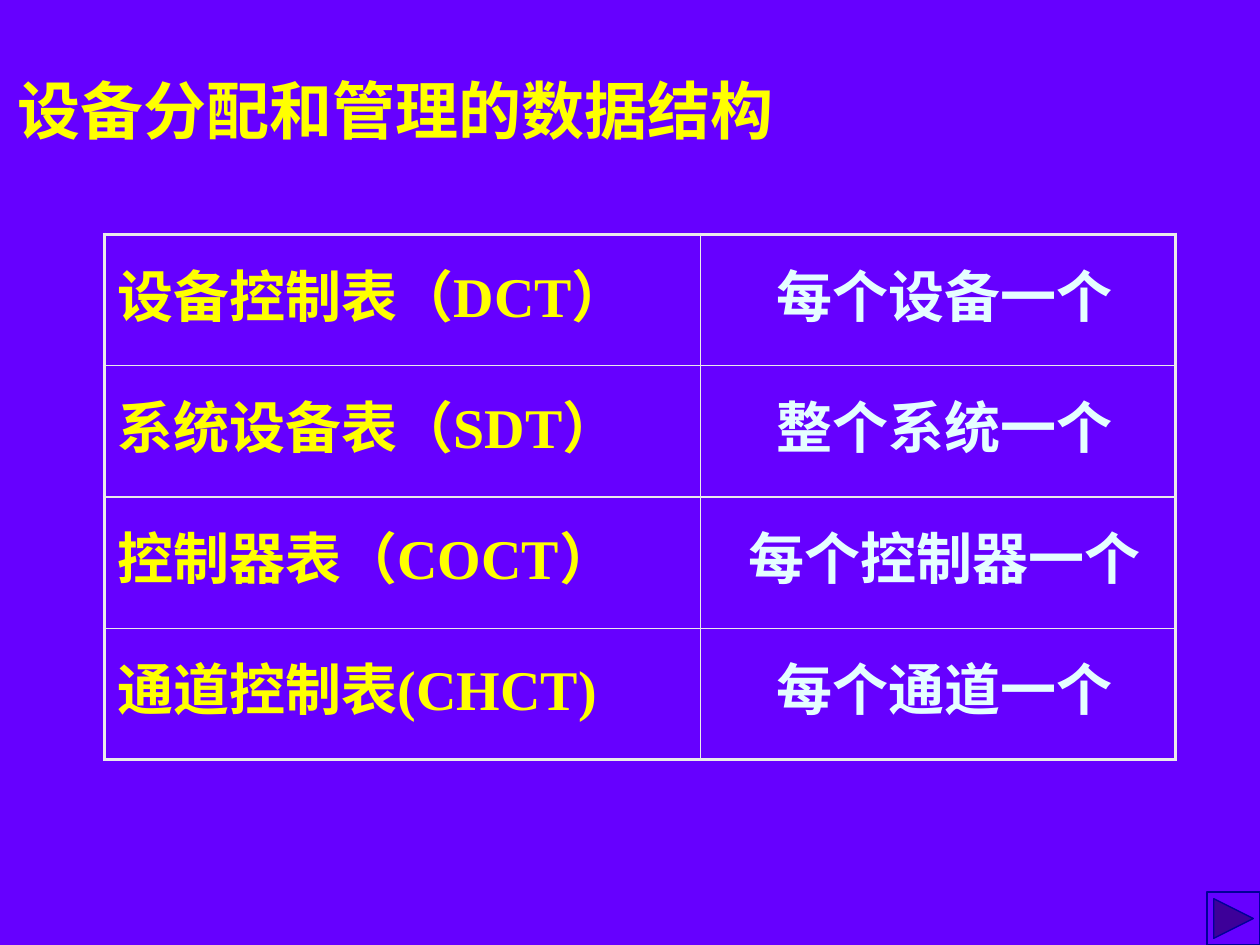
from pptx import Presentation
from pptx.dml.color import RGBColor
from pptx.enum import shapes, text
from pptx.oxml import parse_xml
from pptx.oxml.ns import nsdecls
from pptx.util import Inches, Pt

HUES = {
    "back": "6600FF",
    "gold": "FFFF00",
    "pale": "E5FEFF",
    "rule": "EAEAEA",
    "navy": "000099",
}
FACE = "Times New Roman"
ROWS = [
    ("设备控制表（DCT）", "每个设备一个"),
    ("系统设备表（SDT）", "整个系统一个"),
    ("控制器表（COCT）", "每个控制器一个"),
    ("通道控制表(CHCT)", "每个通道一个"),
]
WIDTHS = (4.73, 3.77)


def hue(name):
    return RGBColor.from_string(HUES[name])


def style(para, size, color, align):
    para.alignment = align
    font = para.font
    font.name, font.size, font.bold = FACE, Pt(size), True
    font.color.rgb = hue(color)


def border(cell, side, width):
    """Add one cell border; call in the order L, R, T, B."""
    line = parse_xml(
        f'<a:ln{side} {nsdecls("a")} w="{Pt(width)}"><a:solidFill>'
        f'<a:srgbClr val="{HUES["rule"]}"/></a:solidFill></a:ln{side}>'
    )
    cell._tc.get_or_add_tcPr().append(line)


def add_title(slide, box):
    title = slide.shapes.title
    title.left, title.top, title.width, title.height = map(Inches, box)
    frame = title.text_frame
    frame.text = "设备分配和管理的数据结构"
    frame.auto_size = text.MSO_AUTO_SIZE.NONE
    frame.vertical_anchor = text.MSO_ANCHOR.TOP
    style(frame.paragraphs[0], 36, "gold", text.PP_ALIGN.LEFT)


def add_grid(slide, box):
    grid = slide.shapes.add_table(len(ROWS), len(WIDTHS), *map(Inches, box)).table
    grid.first_row = grid.horz_banding = False
    for col, width in zip(grid.columns, WIDTHS):
        col.width = Inches(width)
    looks = [("gold", text.PP_ALIGN.LEFT, 0.1), ("pale", text.PP_ALIGN.CENTER, 0.21)]
    last_row, last_col = len(ROWS) - 1, len(WIDTHS) - 1
    for r, row in enumerate(ROWS):
        for c, (words, (color, align, inset)) in enumerate(zip(row, looks)):
            cell = grid.cell(r, c)
            cell.text = words
            cell.margin_left, cell.margin_top = Inches(inset), Inches(0.14)
            style(cell.text_frame.paragraphs[0], 32, color, align)
            # Heavy outer frame, thin inner rules
            outer = {"L": c == 0, "R": c == last_col, "T": r == 0, "B": r == last_row}
            for side, heavy in outer.items():
                border(cell, side, 2.25 if heavy else 1)
            cell.fill.background()


def add_button(slide, box):
    kind = shapes.MSO_SHAPE.ACTION_BUTTON_FORWARD_OR_NEXT
    button = slide.shapes.add_shape(kind, *map(Inches, box))
    button.shadow.inherit = False
    button.fill.solid()
    button.fill.fore_color.rgb = hue("back")
    button.line.color.rgb = hue("navy")
    button.line.width = Pt(0.75)


def main():
    deck = Presentation()
    deck.slide_width, deck.slide_height = Inches(10), Inches(7.5)
    slide = deck.slides.add_slide(deck.slide_layouts[5])
    slide.background.fill.solid()
    slide.background.fill.fore_color.rgb = hue("back")
    add_title(slide, (0.04, 0.52, 9.96, 0.7))
    add_button(slide, (9.58, 7.08, 0.42, 0.42))
    add_grid(slide, (0.83, 1.86, sum(WIDTHS), 4.17))
    deck.save("out.pptx")


if __name__ == "__main__":
    main()
